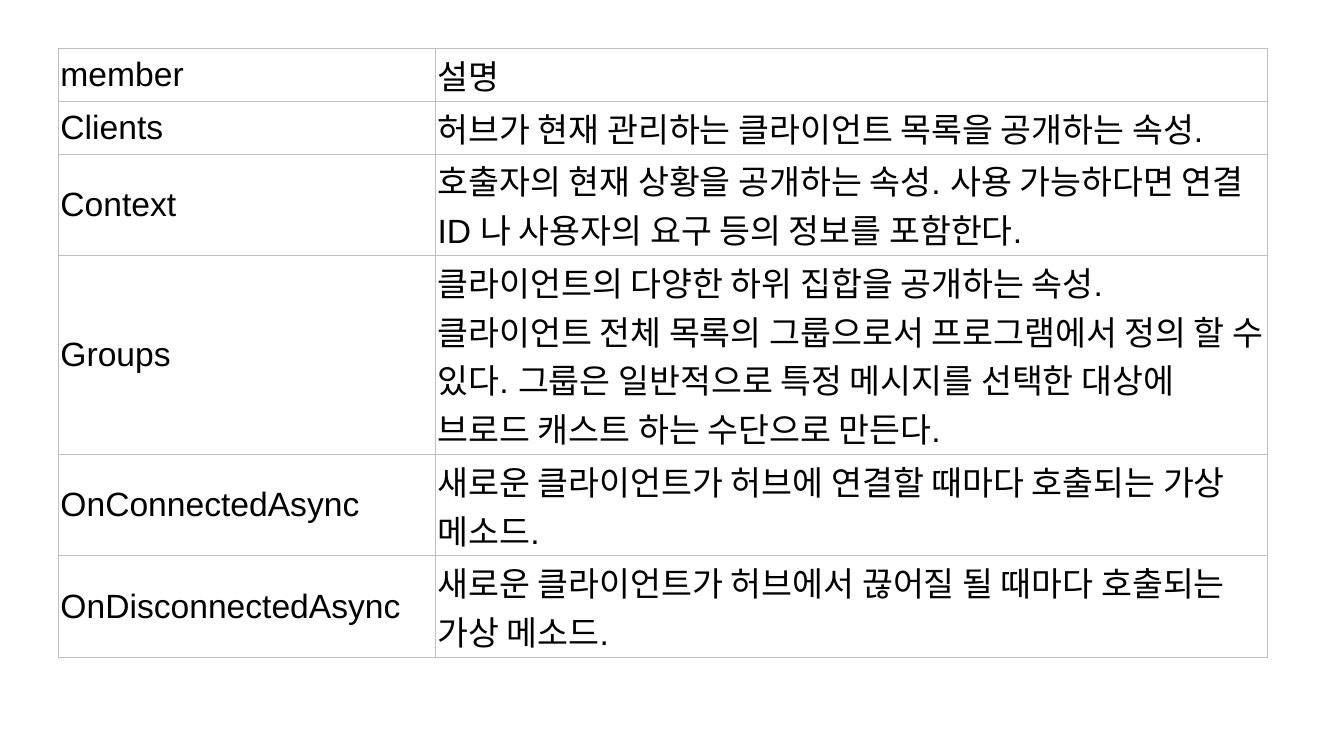
import pptx
import pptx.dml.color
import pptx.enum.text
import pptx.oxml.ns
import pptx.util
from lxml import etree

Inches = pptx.util.Inches
Pt = pptx.util.Pt

COLUMN_WIDTHS = [3.74, 8.25]
ROW_HEIGHTS = [0.26, 0.49, 0.94, 1.62, 0.72, 0.72]

# Hub members and their descriptions, one row each; a newline is a line break
HUB_MEMBERS = [
    ("member", "설명"),
    ("Clients", "허브가 현재 관리하는 클라이언트 목록을 공개하는 속성."),
    ("Context", "호출자의 현재 상황을 공개하는 속성. 사용 가능하다면 "
                "연결 ID 나 사용자의 요구 등의 정보를 포함한다."),
    ("Groups", "클라이언트의 다양한 하위 집합을 공개하는 속성. \n"
               "클라이언트 전체 목록의 그룹으로서 프로그램에서 정의 할 수 있다. "
               "그룹은 일반적으로 특정 메시지를 선택한 대상에 "
               "브로드 캐스트 하는 수단으로 만든다."),
    ("OnConnectedAsync",
     "새로운 클라이언트가 허브에 연결할 때마다 호출되는 가상 메소드."),
    ("OnDisconnectedAsync",
     "새로운 클라이언트가 허브에서 끊어질 될 때마다 호출되는 가상 메소드."),
]


def color(hex_value):
    return pptx.dml.color.RGBColor.from_string(hex_value)


def add_borders(cell, hex_value, width):
    """Draw the same thin line on all four sides of a cell."""
    qn = pptx.oxml.ns.qn
    properties = cell._tc.get_or_add_tcPr()
    for side in ("a:lnL", "a:lnR", "a:lnT", "a:lnB"):
        border = etree.SubElement(properties, qn(side), w=str(Pt(width)))
        line_fill = etree.SubElement(border, qn("a:solidFill"))
        etree.SubElement(line_fill, qn("a:srgbClr"), val=hex_value)


def write_cell(cell, text):
    # Borders come before the fill in the cell properties
    add_borders(cell, "C0C0C0", 0.6)
    cell.fill.solid()
    cell.fill.fore_color.rgb = color("FFFFFF")
    cell.vertical_anchor = pptx.enum.text.MSO_ANCHOR.MIDDLE
    cell.margin_left = cell.margin_right = Inches(0.02)
    cell.margin_top = cell.margin_bottom = Inches(0.02)

    paragraph = cell.text_frame.paragraphs[0]
    for index, line in enumerate(text.split("\n")):
        if index:
            paragraph.add_line_break()
        run = paragraph.add_run()
        run.text = line
        run.font.name = "Arial"
        run.font.size = Pt(24)
        run.font.color.rgb = color("000000")


def add_member_table(slide):
    members = slide.shapes.add_table(
        len(HUB_MEMBERS), len(COLUMN_WIDTHS), Inches(0.58), Inches(0.48),
        Inches(sum(COLUMN_WIDTHS)), Inches(sum(ROW_HEIGHTS))).table
    members.first_row = False
    members.horz_banding = False
    for column, width in zip(members.columns, COLUMN_WIDTHS):
        column.width = Inches(width)
    for row, height, texts in zip(members.rows, ROW_HEIGHTS, HUB_MEMBERS):
        row.height = Inches(height)
        for cell, text in zip(row.cells, texts):
            write_cell(cell, text)


def main():
    presentation = pptx.Presentation()
    presentation.slide_width = Inches(13.33)
    presentation.slide_height = Inches(7.5)
    slide = presentation.slides.add_slide(presentation.slide_layouts[6])
    add_member_table(slide)
    presentation.save("out.pptx")


if __name__ == "__main__":
    main()
